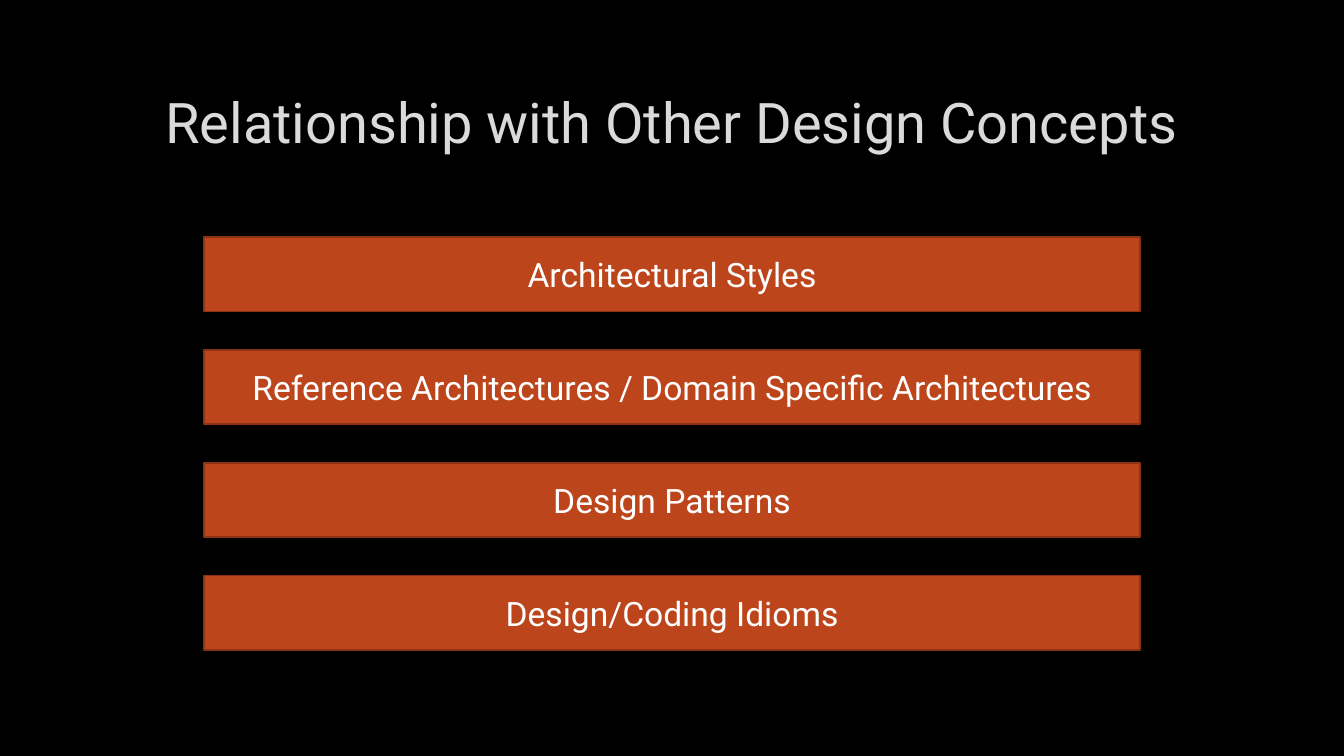
from dataclasses import dataclass

from pptx import Presentation
from pptx.dml.color import RGBColor
from pptx.enum.shapes import MSO_SHAPE as Preset
from pptx.enum.text import MSO_ANCHOR as Anchor, PP_ALIGN as Align
from pptx.shapes.autoshape import Shape
from pptx.slide import Slide
from pptx.util import Inches, Pt

COLORS = {
    "background": "000000",
    "title": "DADADA",
    "bar": "BC451B",
    "bar_edge": "8B3314",
    "bar_text": "FFFFFF",
}
FONT = "Roboto"
BAR_LEFT, BAR_WIDTH, BAR_HEIGHT = 2.02, 9.29, 0.74
FIRST_BAR_TOP, BAR_PITCH = 2.35, 1.12
CONCEPTS = (
    "Architectural Styles",
    "Reference Architectures / Domain Specific Architectures",
    "Design Patterns",
    "Design/Coding Idioms",
)


@dataclass(frozen=True)
class ConceptBar:
    label: str
    top: float


def color(name: str) -> RGBColor:
    return RGBColor.from_string(COLORS[name])


def write_centered(holder: Shape, wording: str, size: int, color_name: str) -> None:
    frame = holder.text_frame
    frame.word_wrap = True
    frame.vertical_anchor = Anchor.MIDDLE
    frame.text = wording
    paragraph = frame.paragraphs[0]
    paragraph.alignment = Align.CENTER
    font = paragraph.runs[0].font
    font.name = FONT
    font.size = Pt(size)
    font.color.rgb = color(color_name)


def draw_title(slide: Slide, wording: str) -> None:
    title = slide.shapes.add_textbox(Inches(1), Inches(0.67), Inches(11.32), Inches(1.06))
    write_centered(title, wording, 40, "title")


def draw_bar(slide: Slide, concept: ConceptBar) -> None:
    bar = slide.shapes.add_shape(
        Preset.RECTANGLE,
        Inches(BAR_LEFT), Inches(concept.top), Inches(BAR_WIDTH), Inches(BAR_HEIGHT),
    )
    bar.shadow.inherit = False
    bar.fill.solid()
    bar.fill.fore_color.rgb = color("bar")
    bar.line.color.rgb = color("bar_edge")
    bar.line.width = Pt(1.25)
    write_centered(bar, concept.label, 24, "bar_text")


def main() -> None:
    """Build the slide of design concepts related to architecture."""
    deck = Presentation()
    deck.slide_width, deck.slide_height = Inches(13.33), Inches(7.5)
    slide = deck.slides.add_slide(deck.slide_layouts[6])
    slide.background.fill.solid()
    slide.background.fill.fore_color.rgb = color("background")

    draw_title(slide, "Relationship with Other Design Concepts")
    for row, label in enumerate(CONCEPTS):
        draw_bar(slide, ConceptBar(label, FIRST_BAR_TOP + row * BAR_PITCH))

    deck.save("out.pptx")


if __name__ == "__main__":
    main()
